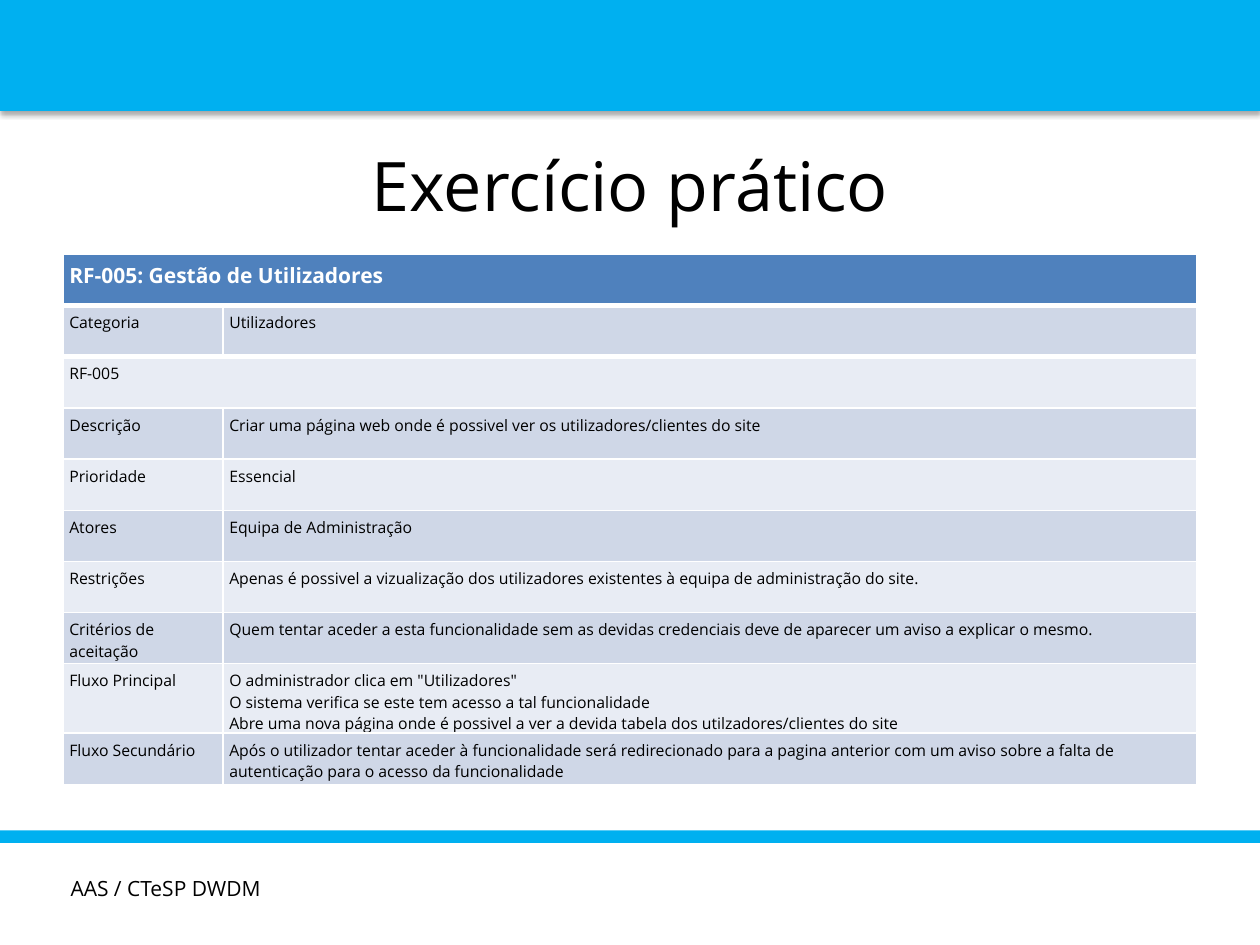
from pptx import Presentation
from pptx.dml.color import RGBColor
from pptx.enum.shapes import MSO_SHAPE as SHAPE
from pptx.enum.text import MSO_ANCHOR as ANCHOR, PP_ALIGN as ALIGN
from pptx.oxml import parse_xml
from pptx.oxml.ns import nsdecls
from pptx.util import Inches, Pt

WIDTH, HEIGHT = 10, 7.5
MARGIN = 0.05 * WIDTH
CONTENT_W = WIDTH - 2 * MARGIN
INSET = 0.05
FONT = "Open Sans"
COLORS = {
    "bar": "00B0F0",
    "header": "4F81BD",
    "odd": "CFD7E7",
    "even": "E8ECF4",
    "text": "000000",
    "header_text": "FFFFFF",
    "border": "FFFFFF",
    "shadow": "000000",
}
HEADING = "RF-005: Gestão de Utilizadores"
REQUIREMENT = [
    ("Categoria", "Utilizadores"),
    ("RF-005", None),
    ("Descrição", "Criar uma página web onde é possivel ver os utilizadores/clientes do site"),
    ("Prioridade", "Essencial"),
    ("Atores", "Equipa de Administração"),
    ("Restrições", "Apenas é possivel a vizualização dos utilizadores existentes "
                   "à equipa de administração do site."),
    ("Critérios de aceitação", "Quem tentar aceder a esta funcionalidade sem as devidas "
                               "credenciais deve de aparecer um aviso a explicar o mesmo."),
    ("Fluxo Principal", 'O administrador clica em "Utilizadores"\n'
                        "O sistema verifica se este tem acesso a tal funcionalidade\n"
                        "Abre uma nova página onde é possivel a ver a devida tabela "
                        "dos utilzadores/clientes do site"),
    ("Fluxo Secundário", "Após o utilizador tentar aceder à funcionalidade será redirecionado "
                         "para a pagina anterior com um aviso sobre a falta de autenticação "
                         "para o acesso da funcionalidade"),
]


def rgb(name):
    return RGBColor.from_string(COLORS[name])


def place(sp, *box):
    sp.left, sp.top, sp.width, sp.height = map(Inches, box)


def write(tf, text, size, color="text", bold=False, align=ALIGN.LEFT):
    tf.text = text
    for p in tf.paragraphs:
        p.alignment = align
        p.font.name = FONT
        p.font.size = Pt(size)
        p.font.bold = bold
        p.font.color.rgb = rgb(color)


def set_insets(box):
    """Set equal margins on a text frame or a table cell."""
    box.margin_left = box.margin_right = box.margin_top = box.margin_bottom = Inches(INSET)


def add_bar(s, top, height):
    """Add a full-width band."""
    sp = s.shapes.add_shape(SHAPE.RECTANGLE, 0, Inches(top), Inches(WIDTH), Inches(height))
    sp.shadow.inherit = False
    sp.fill.solid()
    sp.fill.fore_color.rgb = rgb("bar")
    sp.line.fill.background()
    return sp


def add_drop_shadow(sp):
    effects = sp._element.spPr.find("{*}effectLst")
    effects.append(parse_xml(
        f'<a:outerShdw {nsdecls("a")} blurRad="{Pt(3)}" dist="{Pt(1.8)}" dir="5400000" '
        f'rotWithShape="0"><a:srgbClr val="{COLORS["shadow"]}"><a:alpha val="35000"/>'
        '</a:srgbClr></a:outerShdw>'))


def add_title(s, text):
    sp = s.shapes.title
    place(sp, MARGIN, 1.07, CONTENT_W, 0.79)
    write(sp.text_frame, text, 39, align=ALIGN.CENTER)
    set_insets(sp.text_frame)
    sp.text_frame.vertical_anchor = ANCHOR.MIDDLE


def add_footer(s, text):
    sp = s.shapes.add_textbox(0, 0, 0, 0)
    place(sp, 0.51, 6.9, 3.39, 0.29)
    sp.text_frame.word_wrap = True
    set_insets(sp.text_frame)
    write(sp.text_frame, text, 12)


def fill_cell(cell, text, fill, **style):
    set_insets(cell)
    cell.fill.solid()
    cell.fill.fore_color.rgb = rgb(fill)
    write(cell.text_frame, text, **style)


def set_border(cell, side, width):
    """Draw one cell border; side is L, R, T or B."""
    cell._tc.get_or_add_tcPr().insert(0, parse_xml(
        f'<a:ln{side} {nsdecls("a")} w="{Pt(width)}"><a:solidFill>'
        f'<a:srgbClr val="{COLORS["border"]}"/></a:solidFill></a:ln{side}>'))


def add_requirement_table(s):
    """Fill label and value columns; a row without a value spans both."""
    rows = [(HEADING, None), *REQUIREMENT]
    table = s.shapes.add_table(len(rows), 2, Inches(MARGIN), Inches(2.02),
                               Inches(CONTENT_W), Inches(4.06)).table
    label_w = 1.27
    table.columns[0].width = Inches(label_w)
    table.columns[1].width = Inches(CONTENT_W - label_w)
    for i, (label, value) in enumerate(rows):
        if i == 0:
            fill, style = "header", dict(size=12, color="header_text", bold=True)
        else:
            fill, style = "odd" if i % 2 else "even", dict(size=9)
        fill_cell(table.cell(i, 0), label, fill, **style)
        fill_cell(table.cell(i, 1), value or "", fill, **style)
        if value is None:
            table.cell(i, 0).merge(table.cell(i, 1))
    for col in range(2):
        set_border(table.cell(0, col), "B", 3)
        set_border(table.cell(1, col), "T", 3)


def main():
    prs = Presentation()
    prs.slide_width, prs.slide_height = Inches(WIDTH), Inches(HEIGHT)
    s = prs.slides.add_slide(prs.slide_layouts[5])
    add_drop_shadow(add_bar(s, -0.03, 0.91))
    add_bar(s, 6.59, 0.1)
    add_title(s, "Exercício prático")
    add_footer(s, "AAS / CTeSP DWDM")
    add_requirement_table(s)
    prs.save("out.pptx")


if __name__ == "__main__":
    main()
